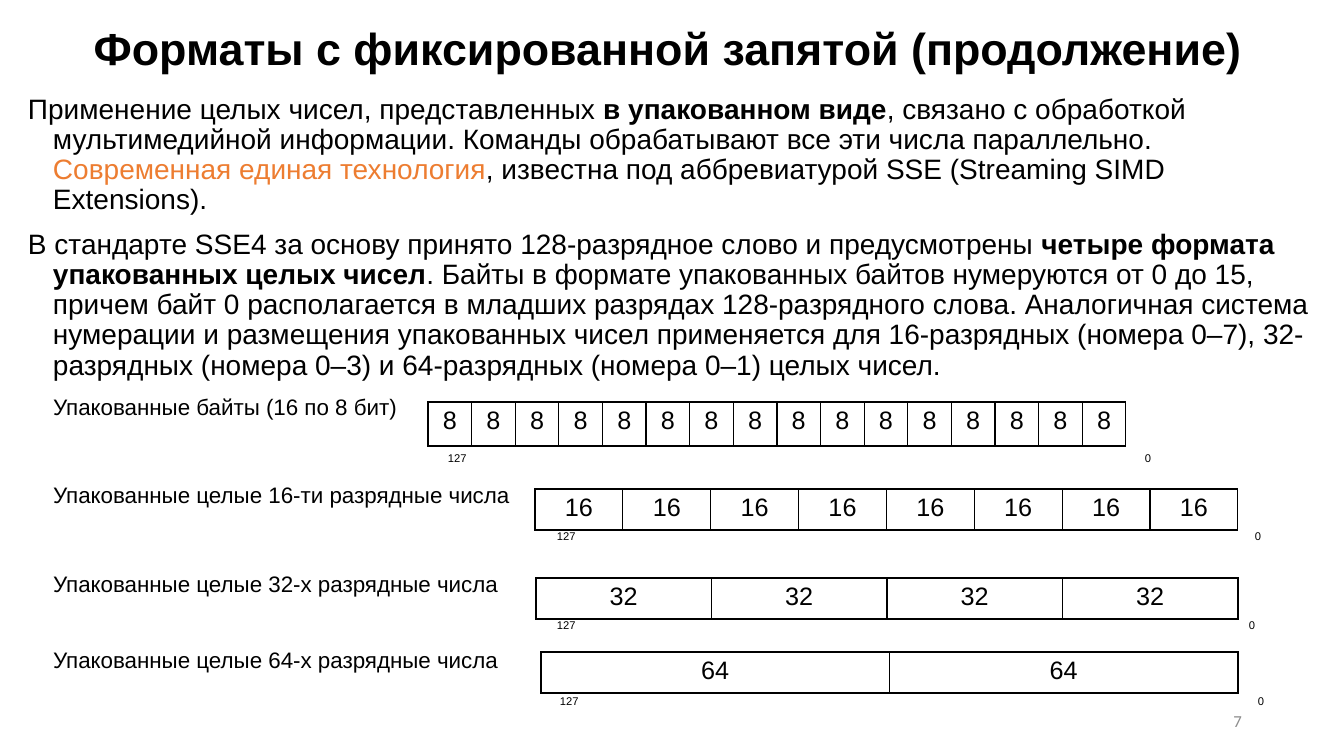
from lxml import etree
from pptx import Presentation
from pptx import util as u
from pptx.dml.color import RGBColor
from pptx.enum import text
from pptx.oxml import ns

PIXEL = 914400 / 100.8
BLACK = RGBColor(0, 0, 0)
WHITE = RGBColor(255, 255, 255)
ORANGE = RGBColor(0xED, 0x7D, 0x31)
GRAY = RGBColor(0x8C, 0x8C, 0x8C)
LEFT, CENTER, RIGHT = (text.PP_ALIGN.LEFT, text.PP_ALIGN.CENTER, text.PP_ALIGN.RIGHT)


def px(value):
    """Turn picture pixels into EMU."""
    return u.Emu(round(value * PIXEL))


class SlideBuilder:
    """Holds the style and the current slide."""

    font = "Arial"

    def __init__(self, slide):
        """Keep the slide to draw on."""
        self.slide = slide

    def style(self, run, size, color=BLACK, bold=False, font=None):
        """Format one run."""
        run.font.name = font or self.font
        run.font.size = u.Pt(size)
        run.font.bold = bold
        run.font.color.rgb = color

    def title(self, words, left, top, width, height):
        """Fill and place the title placeholder."""
        shape = self.slide.shapes.title
        shape.left, shape.top, shape.width, shape.height = map(px, (left, top, width, height))
        frame = shape.text_frame
        frame.text = words
        frame.auto_size = text.MSO_AUTO_SIZE.NONE
        frame.vertical_anchor = text.MSO_ANCHOR.MIDDLE
        paragraph = frame.paragraphs[0]
        paragraph.alignment = CENTER
        paragraph.line_spacing = 0.9
        self.style(paragraph.runs[0], 32, bold=True)

    def box(self, left, top, width, height):
        """Add an empty text box without margins and return its frame."""
        frame = self.slide.shapes.add_textbox(*map(px, (left, top, width, height))).text_frame
        frame.word_wrap = True
        frame.margin_left = frame.margin_right = frame.margin_top = frame.margin_bottom = 0
        return frame

    def label(self, words, left, middle, width, size, align=LEFT, color=BLACK, font=None):
        """Add one line of text centred on a height."""
        frame = self.box(left, middle - 15, width, 30)
        frame.vertical_anchor = text.MSO_ANCHOR.MIDDLE
        frame.text = words
        paragraph = frame.paragraphs[0]
        paragraph.alignment = align
        self.style(paragraph.runs[0], size, color, font=font)

    def body(self, paragraphs, left, top, width, height):
        """Add paragraphs with a hanging indent, each a list of styled parts."""
        frame = self.box(left, top, width, height)
        for index, parts in enumerate(paragraphs):
            paragraph = frame.add_paragraph() if index else frame.paragraphs[0]
            paragraph.line_spacing = 0.9
            paragraph.space_before = u.Pt(10)
            properties = paragraph._p.get_or_add_pPr()
            properties.set("marL", str(px(25)))
            properties.set("indent", str(-px(25)))
            for words, color, bold in parts:
                run = paragraph.add_run()
                run.text = words
                self.style(run, 20, color, bold)

    def border(self, cell):
        """Draw a thin black line on all four sides of a cell."""
        properties = cell._tc.get_or_add_tcPr()
        for side in ("lnL", "lnR", "lnT", "lnB"):
            line = etree.SubElement(properties, ns.qn("a:" + side), w=str(u.Pt(1)))
            fill = etree.SubElement(line, ns.qn("a:solidFill"))
            etree.SubElement(fill, ns.qn("a:srgbClr"), val=str(BLACK))

    def word_table(self, bits, left, top, width, height):
        """Draw a 128-bit word split into equal fields."""
        count = 128 // bits
        frame = self.slide.shapes.add_table(1, count, *map(px, (left, top, width, height)))
        table = frame.table
        table.first_row = table.horz_banding = False
        for column in table.columns:
            column.width = px(width / count)
        for cell in table.iter_cells():
            self.border(cell)
            cell.fill.solid()
            cell.fill.fore_color.rgb = WHITE
            cell.text = str(bits)
            paragraph = cell.text_frame.paragraphs[0]
            paragraph.alignment = CENTER
            self.style(paragraph.runs[0], 18)


BODY = [
    [("Применение целых чисел, представленных ", BLACK, False),
     ("в упакованном виде", BLACK, True),
     (", связано с обработкой мультимедийной информации. Команды обрабатывают "
      "все эти числа параллельно. ", BLACK, False),
     ("Современная единая технология", ORANGE, False),
     (", известна под аббревиатурой SSE (Streaming SIMD Extensions).", BLACK, False)],
    [("В стандарте SSE4 за основу принято 128-разрядное слово и предусмотрены ", BLACK, False),
     ("четыре формата упакованных целых чисел", BLACK, True),
     (". Байты в формате упакованных байтов нумеруются от 0 до 15, причем байт 0 "
      "располагается в младших разрядах 128-разрядного слова. Аналогичная система "
      "нумерации и размещения упакованных чисел применяется для 16-разрядных "
      "(номера 0–7), 32-разрядных (номера 0–3) и 64-разрядных (номера 0–1) "
      "целых чисел.", BLACK, False)],
]

# caption, caption middle, field bits, table box, bit number middle, left of 127, left of 0
FORMATS = [
    ("Упакованные байты (16 по 8 бит)", 407, 8, (428, 402, 698, 44), 458, 448, 1145),
    ("Упакованные целые 16-ти разрядные числа", 495, 16, (535, 489, 703, 41), 536, 557, 1255),
    ("Упакованные целые 32-х разрядные числа", 584, 32, (536, 578, 702, 41), 625, 557, 1249),
    ("Упакованные целые 64-х разрядные числа", 660, 64, (541, 652, 697, 41), 701, 560, 1258),
]

presentation = Presentation()
presentation.slide_width, presentation.slide_height = px(1344), px(756)
builder = SlideBuilder(presentation.slides.add_slide(presentation.slide_layouts[5]))

builder.title("Форматы с фиксированной запятой (продолжение)", 35, 21, 1266, 60)
builder.body(BODY, 28, 95, 1287, 290)
for caption, caption_middle, bits, table_box, number_middle, high_left, low_left in FORMATS:
    builder.label(caption, 53, caption_middle, 470, 16)
    builder.word_table(bits, *table_box)
    builder.label("127", high_left, number_middle, 30, 8)
    builder.label("0", low_left, number_middle, 20, 8)
builder.label("7", 950, 721, 292, 12, RIGHT, GRAY, "Calibri")

presentation.save("out.pptx")
